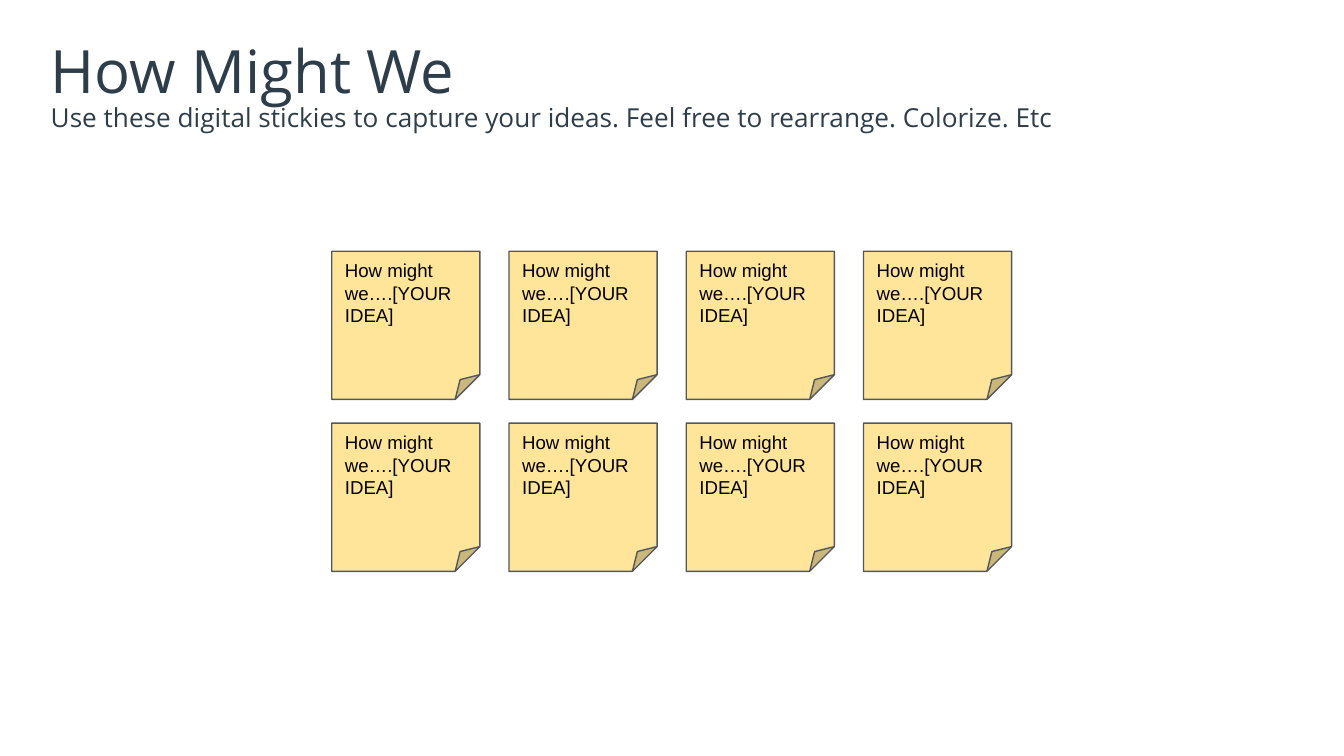
from dataclasses import dataclass

from pptx import Presentation
from pptx import util as u
from pptx.dml.color import RGBColor
from pptx.enum import shapes, text


@dataclass(frozen=True)
class Heading:
    wording: str
    top: float
    size: int


@dataclass(frozen=True)
class Sticky:
    left: float
    top: float
    idea: str = "How might we….[YOUR IDEA]"


HEADINGS = [
    Heading("How Might We", 0.61, 32),
    Heading("Use these digital stickies to capture your ideas. "
            "Feel free to rearrange. Colorize. Etc", 1.88, 14),
]
COLUMNS, ROWS = 4, 2
STICKY_SIZE = 2.8
FIRST_LEFT, FIRST_TOP = 6.27, 4.75
COLUMN_STEP, ROW_STEP = 3.35, 3.25


def color(value: str) -> RGBColor:
    return RGBColor.from_string(value)


def write(shape, wording: str, *, size: int, font: str, ink: str,
          side: float, top: float) -> None:
    frame = shape.text_frame
    frame.word_wrap = True
    frame.vertical_anchor = text.MSO_ANCHOR.TOP
    frame.margin_left = frame.margin_right = frame.margin_bottom = u.Cm(side)
    frame.margin_top = u.Cm(top)
    paragraph = frame.paragraphs[0]
    paragraph.alignment = text.PP_ALIGN.LEFT
    run = paragraph.add_run()
    run.text = wording
    run.font.size = u.Pt(size)
    run.font.name = font
    run.font.color.rgb = color(ink)


def draw_heading(slide, heading: Heading) -> None:
    box = slide.shapes.add_textbox(
        u.Cm(0.86), u.Cm(heading.top), u.Cm(23.67), u.Cm(1.6))
    write(box, heading.wording, size=heading.size, font="Open Sans",
          ink="2D3D4A", side=0.1, top=0.03)


def draw_sticky(slide, sticky: Sticky) -> None:
    note = slide.shapes.add_shape(
        shapes.MSO_SHAPE.FOLDED_CORNER, u.Cm(sticky.left), u.Cm(sticky.top),
        u.Cm(STICKY_SIZE), u.Cm(STICKY_SIZE))
    note.shadow.inherit = False
    note.fill.solid()
    note.fill.fore_color.rgb = color("FFE599")
    note.line.color.rgb = color("53585F")
    note.line.width = u.Pt(0.75)
    write(note, sticky.idea, size=10, font="Arial", ink="000000",
          side=0.25, top=0.15)


def main() -> None:
    deck = Presentation()
    deck.slide_width, deck.slide_height = u.Cm(25.4), u.Cm(14.29)
    slide = deck.slides.add_slide(deck.slide_layouts[6])
    stickies = [
        Sticky(FIRST_LEFT + column * COLUMN_STEP, FIRST_TOP + row * ROW_STEP)
        for row in range(ROWS) for column in range(COLUMNS)
    ]
    for heading in HEADINGS:
        draw_heading(slide, heading)
    for sticky in stickies:
        draw_sticky(slide, sticky)
    deck.save("out.pptx")


if __name__ == "__main__":
    main()
